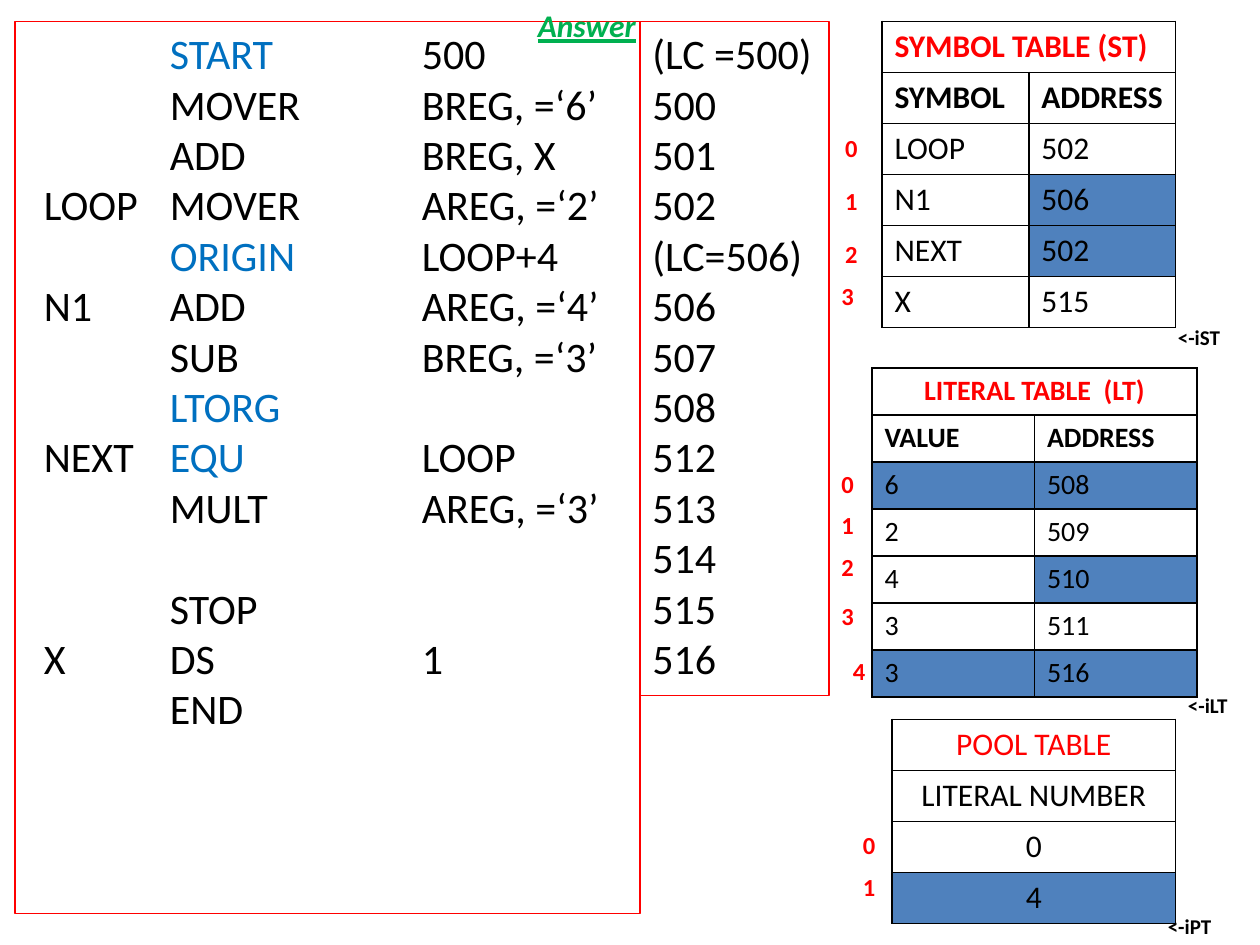
from lxml import etree
from pptx import Presentation
from pptx.dml.color import RGBColor
from pptx.enum.shapes import MSO_SHAPE
from pptx.enum.text import MSO_ANCHOR, MSO_AUTO_SIZE, PP_ALIGN
from pptx.oxml.ns import qn
from pptx.util import Inches, Pt

RECTANGLE = MSO_SHAPE.RECTANGLE
TOP = MSO_ANCHOR.TOP
GROW = MSO_AUTO_SIZE.SHAPE_TO_FIT_TEXT
LEFT, CENTER = PP_ALIGN.LEFT, PP_ALIGN.CENTER
FONT = "Calibri"
COLORS = {"black": "000000", "red": "FF0000", "blue": "0070C0",
          "green": "00B050", "marked": "4F81BD"}
DIRECTIVES = {"START", "ORIGIN", "LTORG", "EQU"}
PROGRAM = [
    ("", "START", "500"),
    ("", "MOVER", "BREG, =‘6’"),
    ("", "ADD", "BREG, X"),
    ("LOOP", "MOVER", "AREG, =‘2’"),
    ("", "ORIGIN", "LOOP+4"),
    ("N1", "ADD", "AREG, =‘4’"),
    ("", "SUB", "BREG, =‘3’"),
    ("", "LTORG", ""),
    ("NEXT", "EQU", "LOOP"),
    ("", "MULT", "AREG, =‘3’"),
    ("", "STOP", ""),
    ("X", "DS", "1"),
    ("", "END", ""),
]
COUNTERS = ["(LC =500)", "500", "501", "502", "(LC=506)", "506", "507",
            "508", "512", "513", "514", "515", "516"]


def rgb(name):
    """Return the named colour."""
    return RGBColor.from_string(COLORS[name])


def write(paragraph, text, size=18, color="black", bold=False, italic=False,
          underline=False, align=LEFT):
    """Append a formatted run to a paragraph."""
    paragraph.alignment = align
    run = paragraph.add_run()
    run.text = text
    font = run.font
    font.name, font.size = FONT, Pt(size)
    font.bold, font.italic, font.underline = bold, italic, underline
    font.color.rgb = rgb(color)


def add_label(slide, left, top, width, height, text, **style):
    """Place a one-line label."""
    label = slide.shapes.add_textbox(
        Inches(left), Inches(top), Inches(width), Inches(height))
    label.text_frame.word_wrap = False
    label.text_frame.auto_size = GROW
    write(label.text_frame.paragraphs[0], text, **style)


def add_frame(slide, left, top, width, height):
    """Draw a red outlined box and return its text frame."""
    frame = slide.shapes.add_shape(
        RECTANGLE, Inches(left), Inches(top), Inches(width), Inches(height))
    frame.shadow.inherit = False
    frame.fill.background()
    frame.line.color.rgb = rgb("red")
    frame.line.width = Pt(0.75)
    frame._element.remove(frame._element.find(qn("p:style")))
    frame.text_frame.word_wrap = True
    frame.text_frame.vertical_anchor = TOP
    return frame.text_frame


def add_lines(text_frame, count):
    """Yield the given number of paragraphs of a text frame."""
    for index in range(count):
        yield text_frame.add_paragraph() if index else text_frame.paragraphs[0]


def set_columns(paragraph, stops):
    """Set tab stops in inches."""
    tabs = etree.SubElement(paragraph._p.get_or_add_pPr(), qn("a:tabLst"))
    for stop in stops:
        etree.SubElement(tabs, qn("a:tab"), pos=str(Inches(stop)), algn="l")


def add_program(slide, left, top, width, height):
    """Place the framed assembly listing."""
    add_frame(slide, left, top, width, height)
    listing = slide.shapes.add_textbox(
        Inches(left + 0.13), Inches(top), Inches(width - 0.3), Inches(5.35))
    listing.text_frame.word_wrap = True
    lines = add_lines(listing.text_frame, len(PROGRAM))
    for line, (label, opcode, operand) in zip(lines, PROGRAM):
        if opcode == "STOP":
            line.space_before = Pt(28.8)
        set_columns(line, (1, 3))
        write(line, label + "\t", size=24)
        write(line, opcode, size=24,
              color="blue" if opcode in DIRECTIVES else "black")
        if operand:
            write(line, "\t" + operand, size=24)


def add_counters(slide, left, top, width, height):
    """Place the framed location counter column."""
    frame = add_frame(slide, left, top, width, height)
    for line, counter in zip(add_lines(frame, len(COUNTERS)), COUNTERS):
        write(line, counter, size=24)


def set_borders(cell):
    """Give a cell thin black borders."""
    properties = cell._tc.get_or_add_tcPr()
    for position, side in enumerate(("a:lnL", "a:lnR", "a:lnT", "a:lnB")):
        border = etree.Element(qn(side), w=str(Pt(1)))
        fill = etree.SubElement(border, qn("a:solidFill"))
        etree.SubElement(fill, qn("a:srgbClr"), val=COLORS["black"])
        properties.insert(position, border)


def add_data_table(slide, left, top, width, height, title, rows, marked,
                   size=18, bold=True, title_align=LEFT, align=LEFT):
    """Place a table with a title row, a heading row and marked cells."""
    row_count, column_count = len(rows) + 1, len(rows[0])
    table = slide.shapes.add_table(
        row_count, column_count, Inches(left), Inches(top),
        Inches(width), Inches(height)).table
    table.first_row = table.horz_banding = False
    for column in table.columns:
        column.width = Inches(width / column_count)
    for row in table.rows:
        row.height = Inches(height / row_count)
    for r in range(row_count):
        for c in range(column_count):
            cell = table.cell(r, c)
            if (r, c) in marked:
                cell.fill.solid()
                cell.fill.fore_color.rgb = rgb("marked")
            else:
                cell.fill.background()
            set_borders(cell)
            if r:
                write(cell.text_frame.paragraphs[0], rows[r - 1][c], size=size,
                      bold=bold and r == 1, align=align)
    heading = table.cell(0, 0)
    if column_count > 1:
        heading.merge(table.cell(0, column_count - 1))
    write(heading.text_frame.paragraphs[0], title, size=size, color="red",
          bold=bold, align=title_align)


def add_indexes(slide, left, top, places, pointer, pointer_place):
    """Number the table rows and mark the next free entry."""
    for index, (dx, dy) in enumerate(places):
        add_label(slide, left + dx, top + dy, 0.3, 0.34, str(index),
                  size=14, color="red", bold=True)
    dx, dy = pointer_place
    add_label(slide, left + dx, top + dy, 0.56, 0.3, pointer, size=12, bold=True)


def add_symbol_table(slide, left, top, width, height):
    """Place the symbol table with its indexes."""
    rows = [("SYMBOL", "ADDRESS"), ("LOOP", "502"), ("N1", "506"),
            ("NEXT", "502"), ("X", "515")]
    add_data_table(slide, left, top, width, height, "SYMBOL TABLE (ST)", rows,
                   {(3, 1), (4, 1)})
    places = [(-0.39, 0.84), (-0.39, 1.26), (-0.39, 1.68), (-0.42, 2.01)]
    add_indexes(slide, left, top, places, "<-iST", (2.25, 2.36))


def add_literal_table(slide, left, top, width, height):
    """Place the literal table with its indexes."""
    rows = [("VALUE", "ADDRESS"), ("6", "508"), ("2", "509"), ("4", "510"),
            ("3", "511"), ("3", "516")]
    add_data_table(slide, left, top, width, height, "LITERAL TABLE  (LT)", rows,
                   {(2, 0), (2, 1), (4, 1), (6, 0), (6, 1)},
                   size=16, title_align=CENTER)
    places = [(-0.34, 0.75), (-0.34, 1.08), (-0.34, 1.41), (-0.34, 1.8),
              (-0.25, 2.24)]
    add_indexes(slide, left, top, places, "<-iLT", (2.41, 2.53))


def add_pool_table(slide, left, top, width, height):
    """Place the pool table with its indexes."""
    rows = [("LITERAL NUMBER",), ("0",), ("4",)]
    add_data_table(slide, left, top, width, height, "POOL TABLE", rows,
                   {(3, 0)}, bold=False, title_align=CENTER, align=CENTER)
    add_indexes(slide, left, top, [(-0.33, 0.83), (-0.33, 1.16)],
                "<-iPT", (2.09, 1.49))


presentation = Presentation()
presentation.slide_width, presentation.slide_height = Inches(10), Inches(7.5)
answer_slide = presentation.slides.add_slide(presentation.slide_layouts[6])
add_program(answer_slide, 0.12, 0.17, 4.96, 7.08)
add_counters(answer_slide, 5.08, 0.17, 1.5, 5.35)
add_symbol_table(answer_slide, 7, 0.17, 2.33, 2.43)
add_literal_table(answer_slide, 6.92, 2.92, 2.58, 2.61)
add_pool_table(answer_slide, 7.08, 5.71, 2.25, 1.62)
add_label(answer_slide, 4.17, 0, 0.99, 0.4, "Answer", color="green",
          bold=True, italic=True, underline=True)
presentation.save("out.pptx")
